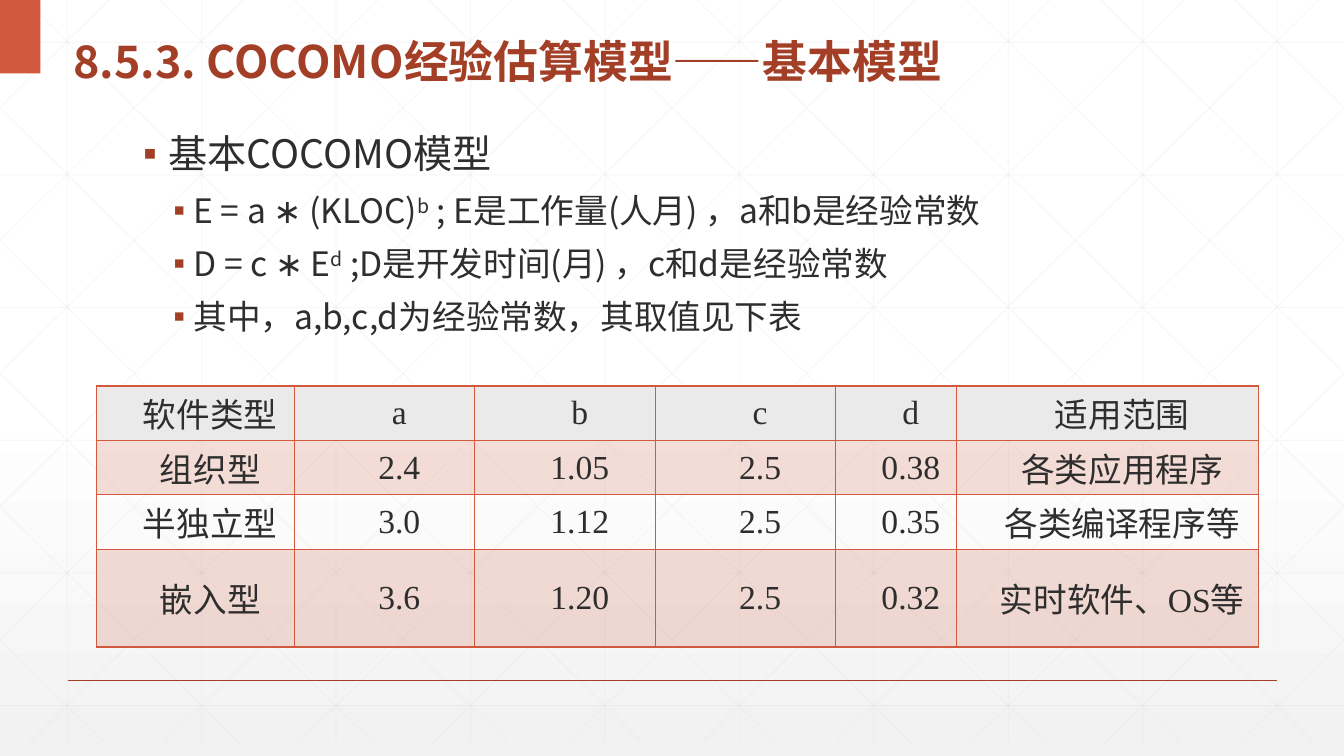
from lxml import etree
from pptx import Presentation
from pptx.dml.color import RGBColor
from pptx.enum.shapes import MSO_CONNECTOR, MSO_SHAPE
from pptx.enum.text import MSO_ANCHOR, PP_ALIGN
from pptx.oxml.ns import qn
from pptx.util import Inches, Pt

STRAIGHT = MSO_CONNECTOR.STRAIGHT
RECTANGLE = MSO_SHAPE.RECTANGLE
MIDDLE = MSO_ANCHOR.MIDDLE
CENTER = PP_ALIGN.CENTER

# Content
TITLE = "8.5.3. COCOMO经验估算模型——基本模型"
# Each line: level, list of (text, is superscript)
BODY = [
    (0, [("基本COCOMO模型", False)]),
    (1, [("E = a ∗ (KLOC)", False), ("b", True),
         (" ; E是工作量(人月) ，a和b是经验常数", False)]),
    (1, [("D = c ∗ E", False), ("d", True),
         (" ;D是开发时间(月) ，c和d是经验常数", False)]),
    (1, [("其中，a,b,c,d为经验常数，其取值见下表", False)]),
]
TABLE = [
    ("软件类型", "a", "b", "c", "d", "适用范围"),
    ("组织型", "2.4", "1.05", "2.5", "0.38", "各类应用程序"),
    ("半独立型", "3.0", "1.12", "2.5", "0.35", "各类编译程序等"),
    ("嵌入型", "3.6", "1.20", "2.5", "0.32", "实时软件、OS等"),
]
COLUMN_WIDTHS = [1.96, 1.79, 1.79, 1.79, 1.2, 2.99]
ROW_HEIGHTS = [0.54, 0.54, 0.54, 0.97]
# Each row: fill colour name, opacity in percent
ROW_FILLS = [("header", 100), ("accent", 20), (None, 100), ("accent", 20)]

# Format
COLORS = {"white": "FFFFFF", "shade": "F2F2F2", "grid": "D9D9D9", "accent": "D15A3E",
          "dark": "A43F27", "text": "2D2E2D", "header": "EAEAEA"}
SANS, SERIF = "Noto Sans CJK SC", "Times New Roman"
LEVELS = [{"size": 28, "margin": 0.25, "indent": -0.25},
          {"size": 24, "margin": 0.5, "indent": -0.2}]
WIDTH, HEIGHT = 13.33, 7.5
GRID_BOTTOM, GRID_STEP_X, GRID_STEP_Y = 7.37, 4 / 3, 1.316
DIAGONAL_RUN = 7.455


def rgb(name):
    return RGBColor.from_string(COLORS[name])


def set_alpha(parent, percent):
    color = parent.find(".//" + qn("a:srgbClr"))
    etree.SubElement(color, qn("a:alpha")).set("val", str(percent * 1000))


def add_line(slide, start, end, color, width, opacity=100):
    line = slide.shapes.add_connector(STRAIGHT, *map(Inches, start + end))
    line.line.color.rgb = rgb(color)
    line.line.width = Pt(width)
    properties = line._element.spPr
    if opacity < 100:
        set_alpha(properties, opacity)
    etree.SubElement(properties, qn("a:effectLst"))


def add_run(paragraph, text, latin, size, color, bold=False, superscript=False):
    run = paragraph.add_run()
    run.text = text
    formats = {"name": latin, "size": Pt(size), "bold": bold}
    for name, value in formats.items():
        setattr(run.font, name, value)
    run.font.color.rgb = rgb(color)
    properties = run._r.get_or_add_rPr()
    etree.SubElement(properties, qn("a:ea")).set("typeface", SANS)
    if superscript:
        properties.set("baseline", "30000")


def set_indent(paragraph, margin, indent):
    properties = paragraph._p.get_or_add_pPr()
    properties.set("marL", str(Inches(margin)))
    properties.set("indent", str(Inches(indent)))
    return properties


def add_text_frame(slide, left, top, width, height):
    box = slide.shapes.add_textbox(*map(Inches, (left, top, width, height)))
    box.text_frame.word_wrap = True
    return box.text_frame


def add_background(slide):
    fill = slide.background.fill
    fill.gradient()
    fill.gradient_angle = 270
    for stop, (position, color) in zip(fill.gradient_stops, [(0.53, "white"), (1, "shade")]):
        stop.position = position
        stop.color.rgb = rgb(color)


def add_grid(slide):
    lines = []
    for column in range(10):
        x = GRID_STEP_X * (column + 0.5)
        lines.append(((x, 0), (x, GRID_BOTTOM)))
    for row in range(6):
        y = 0.42 + GRID_STEP_Y * row
        lines.append(((0, y), (WIDTH, y)))
    # Diagonals, cut at the slide edges, each with its mirror image
    slope = GRID_BOTTOM / DIAGONAL_RUN
    for step in range(-5, 10):
        x = 0.25 + GRID_STEP_X * step
        x1, x2 = max(x, 0), min(x + DIAGONAL_RUN, WIDTH)
        y1, y2 = (x1 - x) * slope, (x2 - x) * slope
        lines.append(((x1, y1), (x2, y2)))
        lines.append(((WIDTH - x1, y1), (WIDTH - x2, y2)))
    for start, end in lines:
        add_line(slide, start, end, "grid", 0.5, 25)


def add_title(slide):
    frame = add_text_frame(slide, 0.63, 0.16, 12.13, 0.73)
    frame.vertical_anchor = MIDDLE
    paragraph = frame.paragraphs[0]
    paragraph.line_spacing = 1.3
    add_run(paragraph, TITLE, SANS, 32, "dark", bold=True)


def add_body(slide):
    frame = add_text_frame(slide, 1.37, 1.31, 10.5, 2.37)
    frame.margin_left = Inches(0.05)
    frame.margin_top = Inches(0.03)
    for index, (level, runs) in enumerate(BODY):
        paragraph = frame.add_paragraph() if index else frame.paragraphs[0]
        style = LEVELS[level]
        properties = set_indent(paragraph, style["margin"], style["indent"])
        bullet_color = etree.SubElement(properties, qn("a:buClr"))
        etree.SubElement(bullet_color, qn("a:srgbClr")).set("val", COLORS["dark"])
        etree.SubElement(properties, qn("a:buFont")).set("typeface", SERIF)
        etree.SubElement(properties, qn("a:buChar")).set("char", "▪")
        formats = {"level": level, "line_spacing": 0.9, "space_before": Pt(12 if index else 0)}
        for name, value in formats.items():
            setattr(paragraph, name, value)
        for text, superscript in runs:
            add_run(paragraph, text, SANS, style["size"], "text", superscript=superscript)


def add_borders(cell):
    properties = cell._tc.get_or_add_tcPr()
    for side in "LRTB":
        border = etree.SubElement(properties, qn("a:ln" + side))
        border.set("w", str(Pt(1)))
        fill = etree.SubElement(border, qn("a:solidFill"))
        etree.SubElement(fill, qn("a:srgbClr")).set("val", COLORS["accent"])


def add_model_table(slide):
    size = (sum(COLUMN_WIDTHS), sum(ROW_HEIGHTS))
    frame = slide.shapes.add_table(len(TABLE), len(COLUMN_WIDTHS),
                                   *map(Inches, (0.96, 3.83) + size))
    table = frame.table
    table.first_row = table.horz_banding = False
    for column, width in zip(table.columns, COLUMN_WIDTHS):
        column.width = Inches(width)
    cell_formats = {"vertical_anchor": MIDDLE, "margin_top": 0, "margin_bottom": 0,
                    "margin_left": Inches(0.07), "margin_right": Inches(0.07)}
    for row, (texts, (color, opacity)) in enumerate(zip(TABLE, ROW_FILLS)):
        table.rows[row].height = Inches(ROW_HEIGHTS[row])
        for column, text in enumerate(texts):
            cell = table.cell(row, column)
            for name, value in cell_formats.items():
                setattr(cell, name, value)
            add_borders(cell)
            if color:
                cell.fill.solid()
                cell.fill.fore_color.rgb = rgb(color)
                if opacity < 100:
                    set_alpha(cell._tc.tcPr.find(qn("a:solidFill")), opacity)
            else:
                cell.fill.background()
            paragraph = cell.text_frame.paragraphs[0]
            paragraph.alignment = CENTER
            set_indent(paragraph, 0, 0.29)
            add_run(paragraph, text, SERIF, 24, "text")


def main():
    presentation = Presentation()
    presentation.slide_width, presentation.slide_height = Inches(WIDTH), Inches(HEIGHT)
    slide = presentation.slides.add_slide(presentation.slide_layouts[6])
    # Backdrop
    add_background(slide)
    add_grid(slide)
    add_line(slide, (0.67, 6.75), (12.67, 6.75), "dark", 1)
    corner = slide.shapes.add_shape(RECTANGLE, 0, 0, Inches(0.4), Inches(0.73))
    corner.shadow.inherit = False
    corner.fill.solid()
    corner.fill.fore_color.rgb = rgb("accent")
    corner.line.fill.background()
    # Text and table
    add_title(slide)
    add_body(slide)
    add_model_table(slide)
    presentation.save("out.pptx")


if __name__ == "__main__":
    main()
